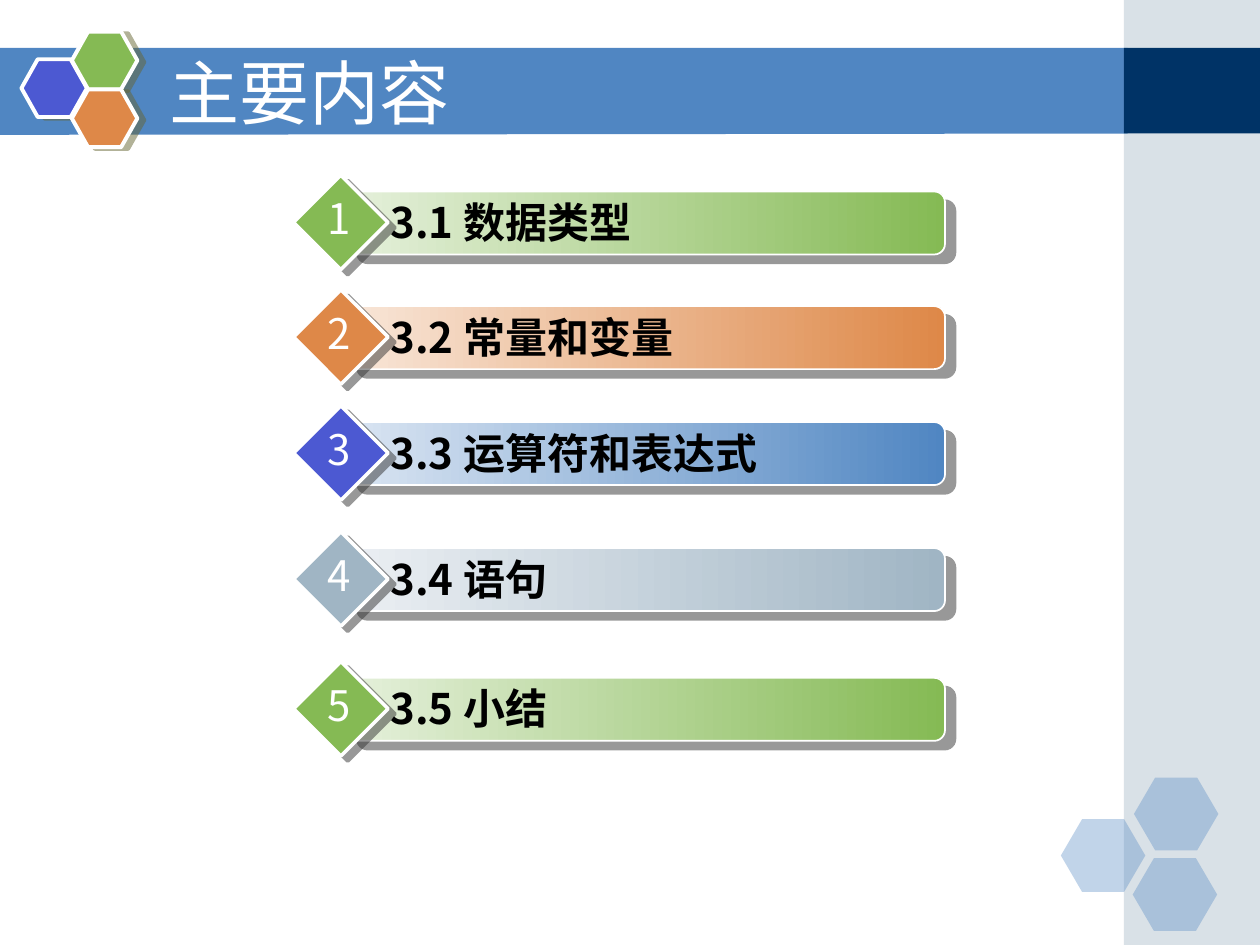
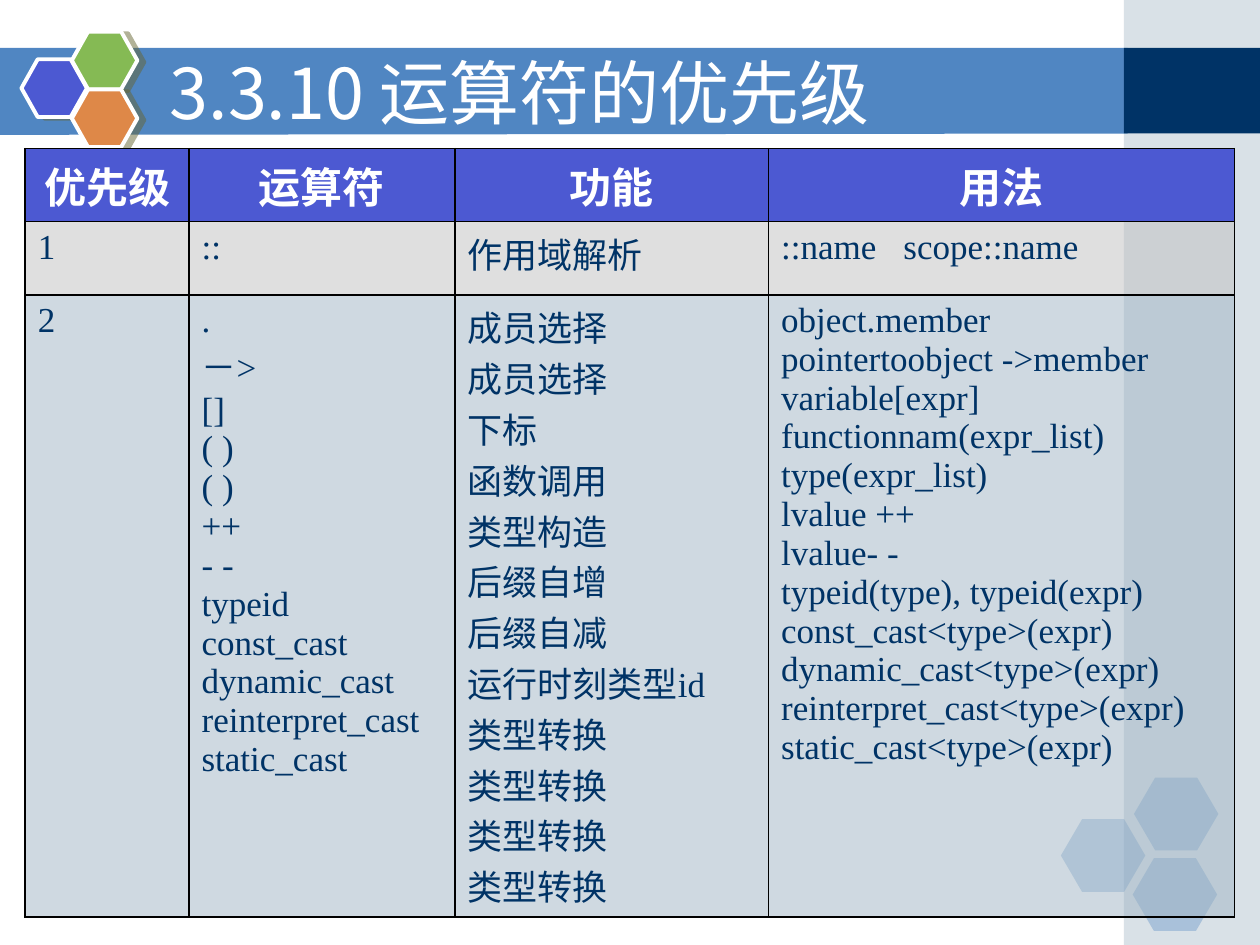
from lxml.etree import SubElement as Sub
from pptx import Presentation
from pptx.dml.color import RGBColor
from pptx.enum.shapes import MSO_SHAPE as Kind
from pptx.enum.text import MSO_ANCHOR as Anchor, PP_ALIGN as Align
from pptx.oxml.ns import qn
from pptx.util import Inches, Pt

SANS = "Noto Sans CJK SC"
SERIF = "Times New Roman"
WHITE, BLACK, NAVY = "FFFFFF", "000000", "003366"
BLUE, VIOLET, GREEN = "5086C2", "4C59D2", "85BA54"
ORANGE, STEEL, GRAY = "DE8848", "A0B5C4", "C0C0C0"


def paint(code):
    return RGBColor.from_string(code)


def fade(root, part):
    for clr in root.iter(qn("a:srgbClr")):
        Sub(clr, qn("a:alpha"), val=str(part * 1000))


def write(frame, text, size=24, color=BLACK, font=SANS, bold=False,
          align=Align.LEFT, tab=None):
    for i, line in enumerate(text.split("\n")):
        para = frame.add_paragraph() if i else frame.paragraphs[0]
        para.alignment = align
        if tab:
            stops = Sub(para._p.get_or_add_pPr(), qn("a:tabLst"))
            Sub(stops, qn("a:tab"), pos=str(Inches(tab)), algn="l")
        run = para.add_run()
        run.text = line
        run.font.size = Pt(size)
        run.font.bold = bold
        run.font.name = font
        run.font.color.rgb = paint(color)
        Sub(run.font._element, qn("a:ea"), typeface=SANS)


class Deck:
    def __init__(self):
        self.prs = Presentation()
        self.prs.slide_width = Inches(10)
        self.prs.slide_height = Inches(7.5)
        self.slide = None

    def shape(self, kind, box, fill, alpha=None, line=None, adj=(),
              shade=None, tint=None):
        item = self.slide.shapes.add_shape(kind, *map(Inches, box))
        for i, value in enumerate(adj):
            item.adjustments[i] = value
        if tint:
            item.fill.gradient()
            item.fill.gradient_angle = 0
            for stop, code in zip(item.fill.gradient_stops, (tint, fill)):
                stop.color.rgb = paint(code)
        else:
            item.fill.solid()
            item.fill.fore_color.rgb = paint(fill)
        if alpha:
            fade(item.element.spPr, alpha)
        if line:
            item.line.color.rgb = paint(WHITE)
            item.line.width = Pt(line)
        else:
            item.line.fill.background()
        item.shadow.inherit = False
        if shade:
            self.shade(item, *shade)

    def shade(self, item, color, dist, angle):
        effects = item.element.spPr.find(qn("a:effectLst"))
        outer = Sub(effects, qn("a:outerShdw"), dist=str(Pt(dist)),
                    dir=str(angle * 60000), algn="ctr", rotWithShape="0")
        Sub(outer, qn("a:srgbClr"), val=color)
        fade(outer, 50)

    def text(self, text, box, wrap=True, anchor=Anchor.TOP, **style):
        frame = self.slide.shapes.add_textbox(*map(Inches, box)).text_frame
        frame.word_wrap = wrap
        frame.vertical_anchor = anchor
        write(frame, text, **style)

    def band(self):
        pen = self.slide.shapes.build_freeform(
            Inches(-0.01), Inches(0.38), scale=1.0)
        corners = [(8.95, 0.38), (8.95, 1.06), (-0.01, 1.07)]
        pen.add_line_segments([(Inches(x), Inches(y)) for x, y in corners])
        item = pen.convert_to_shape()
        item.fill.solid()
        item.fill.fore_color.rgb = paint(BLUE)
        item.line.fill.background()
        item.shadow.inherit = False

    def start(self, title):
        self.slide = self.prs.slides.add_slide(self.prs.slide_layouts[6])
        self.band()
        self.shape(Kind.RECTANGLE, (8.92, 0, 1.08, 7.5), STEEL, alpha=40)
        self.shape(Kind.RECTANGLE, (8.92, 0.38, 1.08, 0.68), NAVY)
        for x, y in [(8.42, 6.5), (9, 6.17), (8.99, 6.81)]:
            self.shape(Kind.HEXAGON, (x, y, 0.67, 0.58), BLUE, alpha=35,
                       adj=(0.29, 1.15))
        for x, y, color in [(0.17, 0.47, VIOLET), (0.57, 0.25, GREEN),
                            (0.57, 0.71, ORANGE)]:
            self.shape(Kind.HEXAGON, (x, y, 0.52, 0.46), color, line=2.25,
                       adj=(0.28, 1.15), shade=("666633", 4.1, 14))
        self.text(title, (1.25, 0.42, 8.32, 0.62), anchor=Anchor.MIDDLE,
                  size=40, color=WHITE)

    def topic(self, num, text, top, bar, tint, gem):
        self.shape(Kind.ROUNDED_RECTANGLE, (2.75, top, 4.75, 0.5), bar,
                   tint=tint, line=1, adj=(0.17,), shade=("333333", 7.8, 40))
        self.shape(Kind.DIAMOND, (2.33, top - 0.13, 0.75, 0.75), gem,
                   line=2, shade=("333333", 5, 37))
        self.text(str(num), (2.5, top - 0.04, 0.39, 0.5), wrap=False,
                  color=WHITE, align=Align.CENTER)
        self.text(f"3.{num} {text}", (3, top - 0.01, 4.3, 0.5), bold=True)

    def cell(self, cell, text, fill, alpha=None, **style):
        write(cell.text_frame, text, font=SERIF, **style)
        cell.fill.solid()
        cell.fill.fore_color.rgb = paint(fill)
        props = cell._tc.get_or_add_tcPr()
        if alpha:
            fade(props, alpha)
        for i, side in enumerate("LRTB"):
            edge = Sub(props, qn(f"a:ln{side}"), w=str(Pt(0.96)))
            Sub(Sub(edge, qn("a:solidFill")), qn("a:srgbClr"), val=BLACK)
            props.insert(i, edge)

    def table(self, rows, spot, widths, heights):
        box = (*spot, sum(widths), sum(heights))
        table = self.slide.shapes.add_table(
            len(rows), len(widths), *map(Inches, box)).table
        for col, width in zip(table.columns, widths):
            col.width = Inches(width)
        for row, height in zip(table.rows, heights):
            row.height = Inches(height)
        head = dict(fill=VIOLET, color=WHITE, bold=True, align=Align.CENTER)
        body = dict(alpha=50, size=20, color=NAVY)
        looks = [head, dict(body, fill=GRAY), dict(body, fill=STEEL)]
        for row, texts, look in zip(table.rows, rows, looks):
            for cell, text in zip(row.cells, texts):
                tab = 0.97 if "\t" in text else None
                self.cell(cell, text, tab=tab, **look)


TOPICS = [
    ("数据类型", 1.52, GREEN, "E5F0DB", GREEN),
    ("常量和变量", 2.43, ORANGE, "F8E6D8", ORANGE),
    ("运算符和表达式", 3.35, BLUE, "DAE5F2", VIOLET),
    ("语句", 4.35, STEEL, "EBEFF3", STEEL),
    ("小结", 5.38, GREEN, "E5F0DB", GREEN),
]

SECOND = [
    (".", "成员选择", "object.member"),
    ("－>", "成员选择", "pointertoobject ->member"),
    ("[]", "下标", "variable[expr]"),
    ("( )", "函数调用", "functionnam(expr_list)"),
    ("( )", "类型构造", "type(expr_list)"),
    ("++", "后缀自增", "lvalue ++"),
    ("- -", "后缀自减", "lvalue- -"),
    ("typeid", "运行时刻类型id", "typeid(type), typeid(expr)"),
    ("const_cast", "类型转换", "const_cast<type>(expr)"),
    ("dynamic_cast", "类型转换", "dynamic_cast<type>(expr)"),
    ("reinterpret_cast", "类型转换", "reinterpret_cast<type>(expr)"),
    ("static_cast", "类型转换", "static_cast<type>(expr)"),
]

ROWS = [
    ("优先级", "运算符", "功能", "用法"),
    ("1", "::", "作用域解析", "::name\tscope::name"),
    ("2", *map("\n".join, zip(*SECOND))),
]


def main():
    deck = Deck()
    deck.start("主要内容")
    for num, topic in enumerate(TOPICS, 1):
        deck.topic(num, *topic)
    deck.start("3.3.10 运算符的优先级")
    deck.table(ROWS, (0.2, 1.18), (1.3, 2.11, 2.49, 3.7),
               (0.58, 0.58, 4.94))
    deck.prs.save("out.pptx")


if __name__ == "__main__":
    main()
